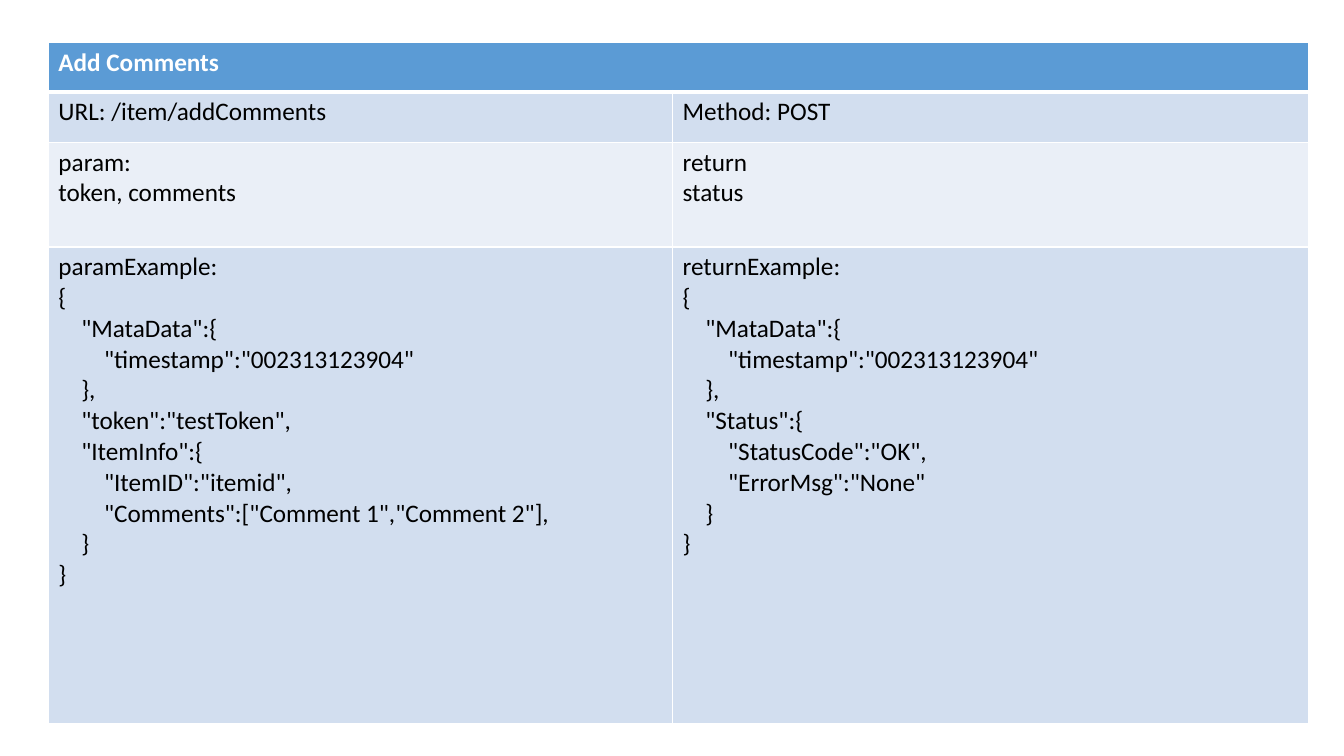
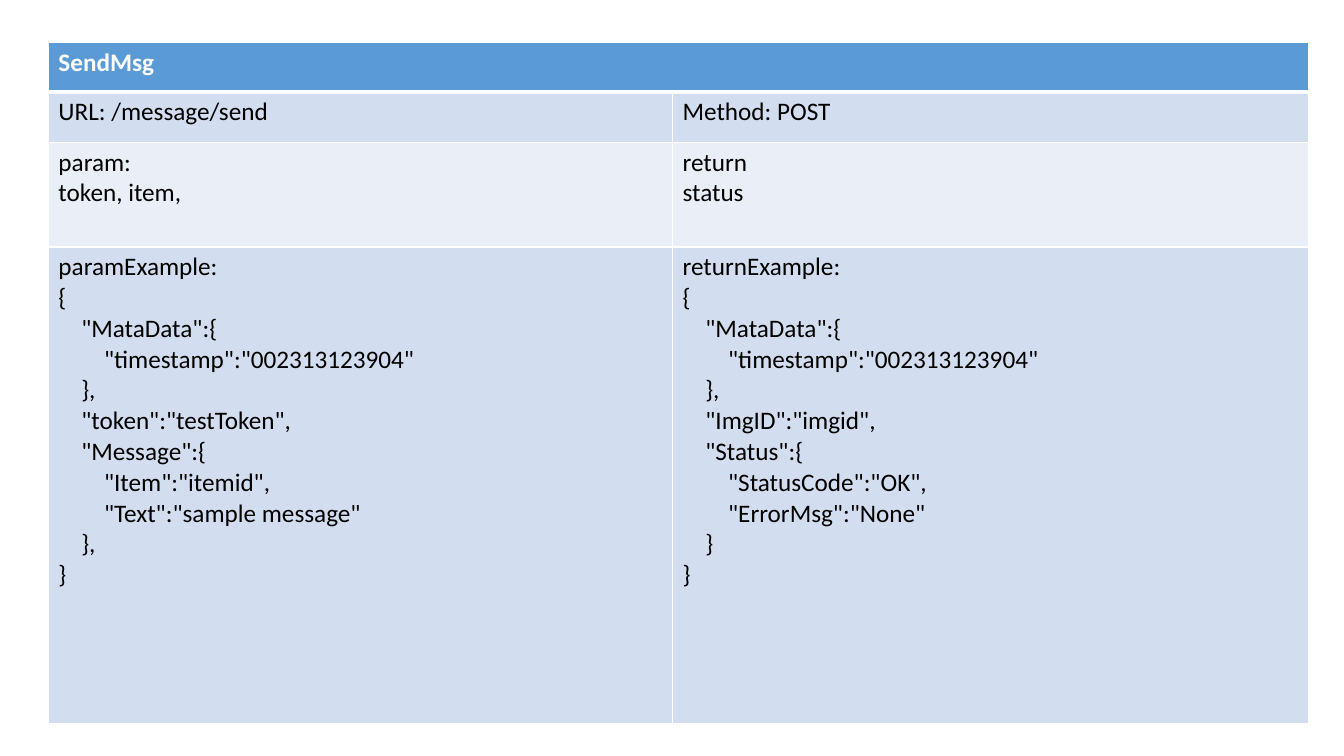
from pptx import Presentation
from pptx.dml.color import RGBColor
from pptx.oxml import parse_xml
from pptx.oxml.ns import nsdecls
from pptx.util import Inches, Pt

WHITE = "FFFFFF"
BLACK = "000000"
HEADER_BLUE = "5B9BD5"
BAND_DARK = "D2DEEF"
BAND_LIGHT = "EAEFF7"
FONT = "Calibri"
ROW_FILLS = [HEADER_BLUE, BAND_DARK, BAND_LIGHT, BAND_DARK]
ROW_HEIGHTS = [0.49, 0.5, 1.04, 4.73]
COLUMN_WIDTHS = [6.19, 6.31]
INDENT = 0.226

METADATA = ["{", '"MataData":{', '"timestamp":"002313123904"', "},"]
STATUS = ['"Status":{', '"StatusCode":"OK",', '"ErrorMsg":"None"', "}", "}"]

ENDPOINTS = [
    {
        "name": "Add Comments",
        "url": "/item/addComments",
        "parameters": "token, comments",
        "request": ['"token":"testToken",', '"ItemInfo":{', '"ItemID":"itemid",',
                    '"Comments":["Comment 1","Comment 2"],', "}", "}"],
        "response": STATUS,
    },
    {
        "name": "SendMsg",
        "url": "/message/send",
        "parameters": "token, item,",
        "request": ['"token":"testToken",', '"Message":{', '"Item":"itemid",',
                    '"Text":"sample message"', "},", "}"],
        "response": ['"ImgID":"imgid",'] + STATUS,
    },
]


def color(value):
    return RGBColor.from_string(value)


def fill_cell(cell, lines, row_index):
    properties = cell._tc.get_or_add_tcPr()
    for side in "LRTB":
        under_header = (row_index, side) in [(0, "B"), (1, "T")]
        width = Pt(3 if under_header else 1)
        properties.append(parse_xml(
            f'<a:ln{side} {nsdecls("a")} w="{width}"><a:solidFill>'
            f'<a:srgbClr val="{WHITE}"/></a:solidFill></a:ln{side}>'))
    cell.fill.solid()
    cell.fill.fore_color.rgb = color(ROW_FILLS[row_index])
    cell.text_frame.text = "\n".join(lines)
    depth = 0
    for paragraph in cell.text_frame.paragraphs:
        if paragraph.text.startswith("}"):
            depth -= 1
        if depth:
            paragraph._p.get_or_add_pPr().set("marL", str(Inches(INDENT * depth)))
        if paragraph.text.endswith("{"):
            depth += 1
        for run in paragraph.runs:
            run.font.name = FONT
            run.font.size = Pt(18)
            run.font.bold = row_index == 0
            run.font.color.rgb = color(WHITE if row_index == 0 else BLACK)


presentation = Presentation()
presentation.slide_width = Inches(13.33)
presentation.slide_height = Inches(7.5)
blank_layout = presentation.slide_layouts[6]

for endpoint in ENDPOINTS:
    slide = presentation.slides.add_slide(blank_layout)
    table = slide.shapes.add_table(
        len(ROW_HEIGHTS), len(COLUMN_WIDTHS), Inches(0.48), Inches(0.42),
        Inches(sum(COLUMN_WIDTHS)), Inches(sum(ROW_HEIGHTS))).table
    table.horz_banding = False
    for column, width in zip(table.columns, COLUMN_WIDTHS):
        column.width = Inches(width)
    for row, height in zip(table.rows, ROW_HEIGHTS):
        row.height = Inches(height)

    content = [
        [[endpoint["name"]], []],
        [["URL: " + endpoint["url"]], ["Method: POST"]],
        [["param:", endpoint["parameters"]], ["return", "status"]],
        [["paramExample:"] + METADATA + endpoint["request"],
         ["returnExample:"] + METADATA + endpoint["response"]],
    ]
    for row_index, row_content in enumerate(content):
        for column_index, lines in enumerate(row_content):
            fill_cell(table.cell(row_index, column_index), lines, row_index)
    table.cell(0, 0).merge(table.cell(0, 1))

presentation.save("out.pptx")
